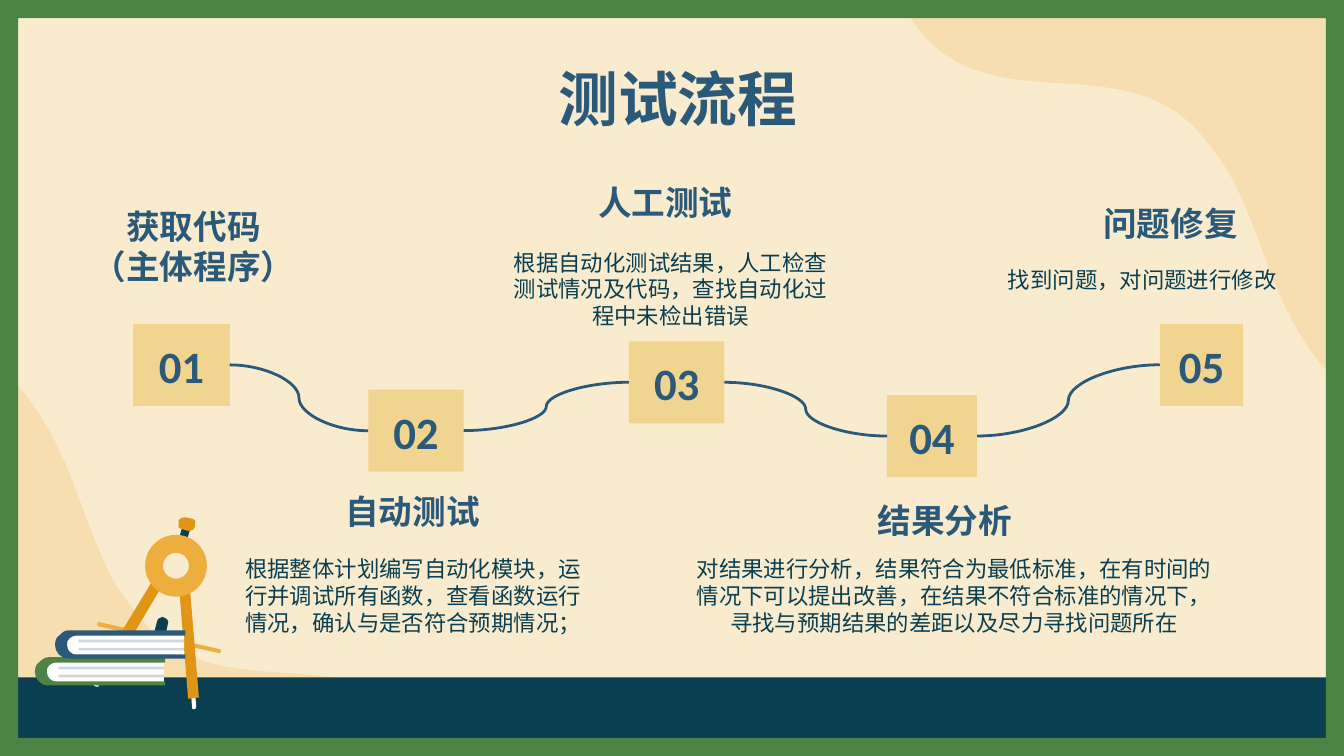
import pptx
import pptx.dml.color
import pptx.enum.shapes
import pptx.enum.text
import pptx.oxml
import pptx.oxml.ns
import pptx.util
from lxml import etree

Inches = pptx.util.Inches
Pt = pptx.util.Pt
SHAPE = pptx.enum.shapes.MSO_SHAPE
ANCHOR = pptx.enum.text.MSO_ANCHOR
qn = pptx.oxml.ns.qn

W, H = 10, 5.625
FONT = "Calibri"
COLORS = {
    "paper": "F9EBCD", "navy": "093F51", "blue": "2A597A", "green": "4D8445",
    "sand": "F2D491", "yellow": "EDAE3E", "orange": "E09515", "white": "FFFFFF",
}

# number box, heading (lines, box), description (text, box)
STEPS = [
    ((0.99, 2.41, 0.72, 0.61),
     (["获取代码", "（主体程序）"], (0.21, 1.62, 2.46, 0.61)), None),
    ((2.74, 2.9, 0.71, 0.61), (["自动测试"], (1.84, 3.59, 2.46, 0.46)),
     ("根据整体计划编写自动化模块，运行并调试所有函数，查看函数运行情况，确认与是否符合预期情况；",
      (1.69, 4.03, 2.77, 0.67))),
    ((4.68, 2.54, 0.71, 0.61), (["人工测试"], (3.72, 1.14, 2.46, 0.61)),
     ("根据自动化测试结果，人工检查测试情况及代码，查找自动化过程中未检出错误",
      (3.71, 1.75, 2.56, 0.82))),
    ((6.6, 2.94, 0.67, 0.61), (["结果分析"], (5.8, 3.66, 2.46, 0.46)),
     ("对结果进行分析，结果符合为最低标准，在有时间的情况下可以提出改善，"
      "在结果不符合标准的情况下，寻找与预期结果的差距以及尽力寻找问题所在",
      (5.06, 4.03, 4.08, 0.67))),
    ((8.63, 2.41, 0.62, 0.61), (["问题修复"], (7.48, 1.3, 2.46, 0.61)),
     ("找到问题，对问题进行修改", (7.27, 1.88, 2.46, 0.67))),
]

# Outlines: a start point, then points (lines) or six numbers (Bézier curves)
BLOB = [
    (11.72, 0.55), (11.67, 0.47, 11.62, 0.39, 11.57, 0.31),
    (10.37, -1.52, 8.77, -2.78, 7.2, -1.68), (6.69, -1.31, 6.42, -0.48, 6.75, 0.08),
    (6.78, 0.14), (7.3, 0.94, 8.29, 0.33, 8.9, 0.96),
    (8.99, 1.06, 9.07, 1.17, 9.14, 1.28), (9.35, 1.65, 9.43, 2.07, 9.65, 2.45),
    (9.79, 2.69, 9.98, 2.92, 10.29, 3.11), (11.11, 3.62, 12.94, 2.66, 11.72, 0.55),
]
COMPASS = [
    ("navy", [(1.36, 3.91), (1.32, 4.05), (1.38, 4.06), (1.42, 3.92)]),  # neck
    ("orange", [(1.37, 3.85), (1.35, 3.85, 1.34, 3.86, 1.33, 3.87), (1.33, 3.9),
                (1.32, 3.92, 1.34, 3.94, 1.36, 3.94), (1.4, 3.95),
                (1.43, 3.95, 1.45, 3.94, 1.45, 3.92), (1.45, 3.9),
                (1.46, 3.88, 1.45, 3.86, 1.43, 3.86), (1.38, 3.85)]),  # knob
    ("yellow", [(0.74, 4.63), (0.72, 4.63, 0.72, 4.66, 0.73, 4.66), (1.63, 4.86),
                (1.65, 4.86, 1.65, 4.83, 1.63, 4.83)]),  # crossbar
    ("white", [(0.84, 4.86), (0.7, 5.09), (0.69, 5.11, 0.72, 5.11, 0.73, 5.11),
               (0.86, 4.88), (0.87, 4.87, 0.85, 4.86, 0.84, 4.86)]),  # left tip
    ("orange", [(1.16, 4.28), (0.71, 5.02), (0.79, 5.06), (1.23, 4.32)]),  # left leg
    ("white", [(1.41, 5), (1.43, 5.27), (1.43, 5.28, 1.46, 5.28, 1.46, 5.26),
               (1.44, 5), (1.44, 4.99, 1.41, 4.99, 1.41, 5)]),  # right tip
    ("orange", [(1.41, 4.34), (1.33, 4.34), (1.4, 5.2), (1.48, 5.19)]),  # right leg
    ("navy", [(1.21, 4.59), (1.19, 4.59, 1.17, 4.61, 1.17, 4.62), (1.11, 4.85),
              (1.11, 4.88, 1.12, 4.9, 1.15, 4.9), (1.17, 4.9, 1.19, 4.89, 1.2, 4.87),
              (1.25, 4.64), (1.26, 4.62, 1.24, 4.6, 1.21, 4.59)]),  # pencil holder
]
# Book parts, measured from the book's top left corner
COVER = [
    (0.97, 0), (0.1, 0), (0.07, 0, 0.05, 0.02, 0.03, 0.04),
    (0.01, 0.05, 0, 0.08, 0, 0.11), (0, 0.16, 0.04, 0.21, 0.1, 0.21),
    (0.97, 0.21), (0.97, 0.18), (0.95, 0.18), (0.95, 0.04), (0.97, 0.04),
]
PAGES = [
    (0.96, 0.04), (0.16, 0.04), (0.14, 0.04, 0.12, 0.05, 0.11, 0.06),
    (0.09, 0.07, 0.09, 0.09, 0.09, 0.11), (0.09, 0.15, 0.12, 0.18, 0.16, 0.18),
    (0.96, 0.18),
]
PAGE_LINE = [(0.96, 0), (0.18, 0), (0.17, 0, 0.17, 0.02, 0.18, 0.02), (0.96, 0.02)]


def rgb(name):
    return pptx.dml.color.RGBColor.from_string(COLORS[name])


def paint(sp, color, alpha=None):
    sp.shadow.inherit = False
    sp.line.fill.background()
    sp.fill.solid()
    sp.fill.fore_color.rgb = rgb(color)
    if alpha:
        clr = sp.element.spPr.find(".//" + qn("a:srgbClr"))
        etree.SubElement(clr, qn("a:alpha"), val=str(alpha * 1000))


def add_preset(shapes, kind, box, color):
    sp = shapes.add_shape(kind, *map(Inches, box))
    paint(sp, color)
    return sp


def shift(outline, dx, dy):
    return [tuple(v + (dy if i % 2 else dx) for i, v in enumerate(seg)) for seg in outline]


def add_outline(shapes, outline, color, alpha=None):
    pts = [(Inches(seg[i]), Inches(seg[i + 1]))
           for seg in outline for i in range(0, len(seg), 2)]
    fb = shapes.build_freeform(*pts[0])
    fb.add_line_segments(pts[1:], close=True)
    sp = fb.convert_to_shape()
    paint(sp, color, alpha)
    # Join the three points of each curve into one Bézier segment
    lines = iter(sp.element.spPr.findall(".//" + qn("a:lnTo")))
    for seg in outline[1:]:
        first = next(lines)
        if len(seg) == 6:
            first.tag = qn("a:cubicBezTo")
            for ln in (next(lines), next(lines)):
                first.append(ln[0])
                ln.getparent().remove(ln)
    return sp


def write(sp, lines, size, color, bold=False, anchor=ANCHOR.TOP):
    tf = sp.text_frame
    tf.word_wrap = True
    tf.auto_size = pptx.enum.text.MSO_AUTO_SIZE.NONE
    tf.vertical_anchor = anchor
    tf.margin_left = tf.margin_right = tf.margin_top = tf.margin_bottom = Inches(0.1)
    for i, line in enumerate(lines):
        p = tf.add_paragraph() if i else tf.paragraphs[0]
        p.text = line
        p.alignment = pptx.enum.text.PP_ALIGN.CENTER
        p.font.name, p.font.size, p.font.bold = FONT, Pt(size), bold
        p.font.color.rgb = rgb(color)


def add_text(s, box, *args, **kwargs):
    write(s.shapes.add_textbox(*map(Inches, box)), *args, **kwargs)


def add_link(s, left, right):
    cxn = s.shapes.add_connector(pptx.enum.shapes.MSO_CONNECTOR.CURVE, 0, 0, 0, 0)
    cxn.begin_connect(left, 3)
    cxn.end_connect(right, 1)
    cxn.line.color.rgb = rgb("blue")
    cxn.line.width = Pt(1.5)
    etree.SubElement(cxn.element.spPr, qn("a:effectLst"))


def add_book(shapes, x, y, color):
    add_outline(shapes, shift(COVER, x, y), color)
    add_outline(shapes, shift(PAGES, x, y), "white")
    for dy in (0.07, 0.13):
        add_outline(shapes, shift(PAGE_LINE, x, y + dy), "navy", 20)


def add_backdrop(s):
    s.background.fill.solid()
    s.background.fill.fore_color.rgb = rgb("paper")
    # The lower left blob is the upper right one turned by half
    turned = [tuple((H if i % 2 else W) - v for i, v in enumerate(seg)) for seg in BLOB]
    parts = [add_outline(s.shapes, outline, "yellow", 20) for outline in (BLOB, turned)]
    parts.append(add_preset(s.shapes, SHAPE.RECTANGLE, (0, 5.04, W, H - 5.04), "navy"))
    frame = add_preset(s.shapes, SHAPE.FRAME, (0, 0, W, H), "green")
    frame.adjustments[0] = 0.024
    # The backdrop belongs to the layout, behind its placeholders
    tree = s.slide_layout.shapes.element
    for i, sp in enumerate(parts + [frame]):
        tree.insert(2 + i, sp.element)


def add_illustration(s):
    shapes = s.shapes.add_group_shape().shapes
    for color, outline in COMPASS:
        add_outline(shapes, outline, color)
    ring = add_preset(shapes, SHAPE.DONUT, (1.08, 3.98, 0.46, 0.46), "yellow")
    ring.adjustments[0] = 0.29
    add_book(shapes, 0.26, 4.89, "green")
    add_book(shapes, 0.41, 4.69, "blue")


def main():
    prs = pptx.Presentation()
    prs.slide_width, prs.slide_height = Inches(W), Inches(H)
    s = prs.slides.add_slide(prs.slide_layouts[5])
    add_backdrop(s)

    # Title
    title = s.shapes.title
    title.left, title.top, title.width, title.height = map(Inches, (0.83, 0.36, 8.43, 0.74))
    write(title, ["测试流程"], 32, "blue", bold=True)

    # Steps
    boxes = []
    for n, (box, (heading, heading_box), body) in enumerate(STEPS, 1):
        sp = add_preset(s.shapes, SHAPE.RECTANGLE, box, "sand")
        write(sp, [f"{n:02}"], 24, "blue", bold=True, anchor=ANCHOR.BOTTOM)
        boxes.append(sp)
        add_text(s, heading_box, heading, 18, "blue", bold=True, anchor=ANCHOR.BOTTOM)
        if body:
            add_text(s, body[1], [body[0]], 12, "navy")
    for left, right in zip(boxes, boxes[1:]):
        add_link(s, left, right)

    add_illustration(s)
    prs.save("out.pptx")


if __name__ == "__main__":
    main()
